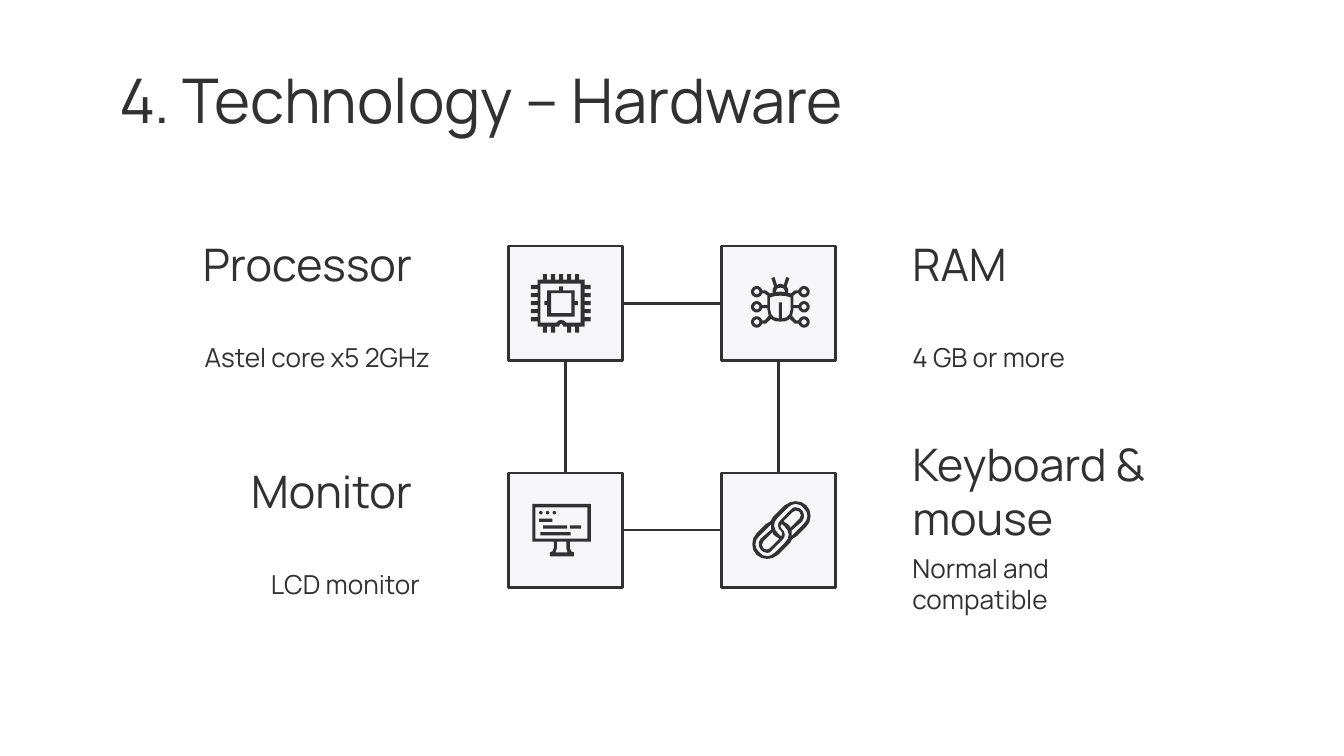
from dataclasses import dataclass
from math import cos, pi, sin

import pptx
import pptx.dml.color
import pptx.enum.shapes
import pptx.enum.text
import pptx.util
from lxml import etree

Pt = pptx.util.Pt
RGB = pptx.dml.color.RGBColor
Align = pptx.enum.text.PP_ALIGN
Shape = pptx.enum.shapes.MSO_SHAPE
Point = tuple[float, float]
Path = list[Point]
Icon = list[list[Path]]

TOP, LEFT, BOTTOM, RIGHT = range(4)
TILE = 61.2
UNIT = 0.72  # icon grid step; a tile is 85 steps wide
FINE = 10  # freeform points per grid step


@dataclass(frozen=True)
class Theme:
    font: str = "Manrope"
    ink: RGB = RGB(0x31, 0x31, 0x31)
    tile: RGB = RGB(0xF6, 0xF6, 0xF8)
    title: float = 33
    head: float = 24
    note: float = 14
    line: float = 1.5
    inset: float = 7.2


@dataclass(frozen=True)
class Part:
    head: str
    note: str
    col: int
    row: int
    icon: Icon
    head_pad: float = 0
    note_pad: float = 0


THEME = Theme()
TILE_X = (272.2, 386.6)
TILE_Y = (131.8, 253.4)
TEXT_X = (82.8, 481.7)


def box(left: float, top: float, right: float, bottom: float) -> Path:
    return [(left, top), (right, top), (right, bottom), (left, bottom)]


def disc(x: float, y: float, radius: float) -> Path:
    steps = 24
    return [(x + radius * cos(2 * pi * i / steps), y + radius * sin(2 * pi * i / steps))
            for i in range(steps)]


def flip(path: Path, axis: float = 43.7) -> Path:
    return [(2 * axis - x, y) for x, y in path]


def whole(half: Path) -> Path:
    """Close a left half with its mirror image."""
    return half + flip(half)[::-1]


def turn(path: Path) -> Path:
    """Rotate by half a turn about the middle of the chain."""
    return [(89 - x, 85 - y) for x, y in path]


def chip() -> Icon:
    frame = [(22, 25), (57, 25), (57, 60), (41, 60), (40.6, 58.5), (39.5, 57.6),
             (38.4, 58.5), (38, 60), (22, 60)]
    hole = [(24, 28), (54, 28), (54, 57), (43, 57), (41.5, 55.5), (39.5, 55),
            (37.5, 55.5), (36, 57), (24, 57)]
    pins = []
    for i in range(5):
        x, y = 26 + 6 * i, 29 + 6 * i
        pins += [box(x, 21, x + 3, 26), box(17, y, 23, y + 3), box(56, y, 61.5, y + 3)]
        if i != 2:
            pins.append(box(x, 59, x + 3, 64.5))
    ticks = [box(38, 30, 41, 34), box(27, 41, 30, 44), box(48, 41, 52, 44)]
    core = [box(29, 33, 49.5, 52.5), box(32, 35, 47, 50)]
    return [[frame, hole], core, pins + ticks]


def bug() -> Icon:
    body = [(43.7, 28), (41.2, 29), (39.3, 23), (37, 24), (39, 30), (38, 32), (38, 35),
            (35, 35.4), (34, 37), (34, 47), (35, 52), (37, 54.5), (40, 56), (43.7, 56.3)]
    face = [(43.7, 31), (41.5, 31.5), (40.5, 33), (40.3, 34.3), (43.7, 34)]
    wing = [(43.7, 37), (40, 37.2), (36, 38.3), (36, 47), (37, 51), (39, 53), (42.5, 54),
            (42.5, 42), (43.7, 42)]
    legs = [[(29.5, 33), (33, 33), (36, 35.5), (34, 37), (32, 35.3), (29.5, 35.3)],
            box(29.5, 44, 35, 46.2),
            [(29.5, 55.4), (32, 55.4), (35, 52), (37, 54), (33, 57.7), (29.5, 57.7)]]
    nodes = [disc(26.1, y, radius) for y in (34, 45.2, 56.5) for radius in (4.2, 2)]
    return [[whole(body), whole(face), whole(wing)],
            legs + [flip(leg) for leg in legs],
            nodes + [flip(node) for node in nodes]]


def screen() -> Icon:
    case = [(18, 23), (18, 51), (34, 51), (34, 56), (33, 58.3), (31, 59), (31, 62),
            (49, 62), (49, 59), (47, 58.3), (46, 56), (46, 51), (61.5, 51), (61.5, 23)]
    stand = [(43.3, 51), (43.3, 56), (44.3, 59), (35.3, 59), (36.3, 56), (36.3, 51)]
    text = [box(23, 34, 33, 36.4), box(26, 39, 44, 41.4),
            box(46, 39, 54.3, 41.4), box(24, 44, 46.5, 46.4)]
    dots = [disc(24.4 + 5 * i, 29.6, 1.3) for i in range(3)]
    return [[case, box(20.3, 25.5, 59, 48.8), stand], text + dots]


def chain() -> Icon:
    slot = [(55, 28), (56.7, 28.3), (58, 29), (59, 31.5), (58, 34), (51, 41), (50.5, 39.3),
            (49, 38), (46, 36), (53, 29)]
    band = [(55, 23), (58.5, 23.8), (61, 26), (63.3, 29), (63.9, 32), (63, 35.5), (61, 38),
            (54, 45), (52, 47), (52.2, 45), (52, 43), (60, 36), (61, 34), (61.3, 32),
            (61, 30), (60, 28), (58, 26.3), (55, 25.5), (53, 26), (51, 28), (44, 35),
            (42.4, 37), (42, 39), (42.6, 41.5), (44, 43), (45, 44.5), (45, 46), (44.5, 47),
            (43.3, 46.4), (42, 45), (40, 42.5), (39, 39), (39.7, 36), (42, 33), (49, 26),
            (52, 23.8)]
    edge = [(55, 21), (51, 21.8), (47, 24), (40, 31), (38, 33), (37, 35), (35.5, 36.5),
            (33, 38), (26, 45), (23.6, 48.5), (22.8, 53), (23.6, 57.5), (26, 61),
            (29.5, 63.2)]
    return [[edge + turn(edge), slot, turn(slot), band, turn(band)]]


PARTS = (
    Part("Processor", "Astel core x5 2GHz", 0, 0, chip(), head_pad=9.6),
    Part("RAM", "4 GB or more", 1, 0, bug()),
    Part("Monitor", "LCD monitor", 0, 1, screen(), head_pad=9.6, note_pad=5.4),
    Part("Keyboard & mouse", "Normal and compatible", 1, 1, chain()),
)
LINKS = ((0, RIGHT, 1, LEFT), (1, BOTTOM, 3, TOP), (3, LEFT, 2, RIGHT), (2, TOP, 0, BOTTOM))


def write(shape, text: str, size: float, align: Align, pad: float = 0) -> None:
    frame = shape.text_frame
    frame.word_wrap = True
    frame.auto_size = pptx.enum.text.MSO_AUTO_SIZE.NONE
    frame.vertical_anchor = pptx.enum.text.MSO_ANCHOR.MIDDLE
    frame.margin_left = frame.margin_top = frame.margin_bottom = Pt(THEME.inset)
    frame.margin_right = Pt(THEME.inset + pad)
    frame.text = text
    para = frame.paragraphs[0]
    para.alignment = align
    para.font.name = THEME.font
    para.font.size = Pt(size)
    para.font.color.rgb = THEME.ink


def paint(shape, fill: RGB) -> None:
    shape.shadow.inherit = False
    shape.fill.solid()
    shape.fill.fore_color.rgb = fill


def draw_icon(slide, icon: Icon, left: float, top: float) -> None:
    group = slide.shapes.add_group_shape()
    for paths in icon:
        pen = None
        for path in paths:
            first, *rest = [(x * FINE, y * FINE) for x, y in path]
            if pen is None:
                pen = group.shapes.build_freeform(*first, scale=Pt(UNIT) / FINE)
            else:
                pen.move_to(*first)
            pen.add_line_segments(rest, close=True)
        shape = pen.convert_to_shape(Pt(left), Pt(top))
        paint(shape, THEME.ink)
        shape.line.fill.background()


def draw_part(slide, part: Part):
    """Draw the texts, tile and icon of a part and return the tile."""
    x, y = TILE_X[part.col], TILE_Y[part.row]
    align = Align.LEFT if part.col else Align.RIGHT
    for text, drop, height, size, pad in (
            (part.head, -17.3, 53.3, THEME.head, part.head_pad),
            (part.note, 40.3, 38.2, THEME.note, part.note_pad)):
        label = slide.shapes.add_textbox(
            Pt(TEXT_X[part.col]), Pt(y + drop), Pt(154.8), Pt(height))
        write(label, text, size, align, pad)
    tile = slide.shapes.add_shape(Shape.RECTANGLE, Pt(x), Pt(y), Pt(TILE), Pt(TILE))
    paint(tile, THEME.tile)
    tile.line.color.rgb = THEME.ink
    tile.line.width = Pt(THEME.line)
    draw_icon(slide, part.icon, x, y)
    return tile


def link(slide, start, out: int, end, into: int) -> None:
    line = slide.shapes.add_connector(pptx.enum.shapes.MSO_CONNECTOR.STRAIGHT, 0, 0, 0, 0)
    line.begin_connect(start, out)
    line.end_connect(end, into)
    line.line.color.rgb = THEME.ink
    line.line.width = Pt(THEME.line)
    props = line._element.spPr
    etree.SubElement(props, pptx.oxml.ns.qn("a:effectLst"))


def main() -> None:
    deck = pptx.Presentation()
    deck.slide_width, deck.slide_height = Pt(720), Pt(405)
    slide = deck.slides.add_slide(deck.slide_layouts[5])
    title = slide.shapes.title
    title.left, title.top, title.width, title.height = Pt(56.9), Pt(30.2), Pt(499.7), Pt(45.4)
    write(title, "4. Technology – Hardware", THEME.title, Align.LEFT)
    tiles = [draw_part(slide, part) for part in PARTS]
    for start, out, end, into in LINKS:
        link(slide, tiles[start], out, tiles[end], into)
    deck.save("out.pptx")


if __name__ == "__main__":
    main()
